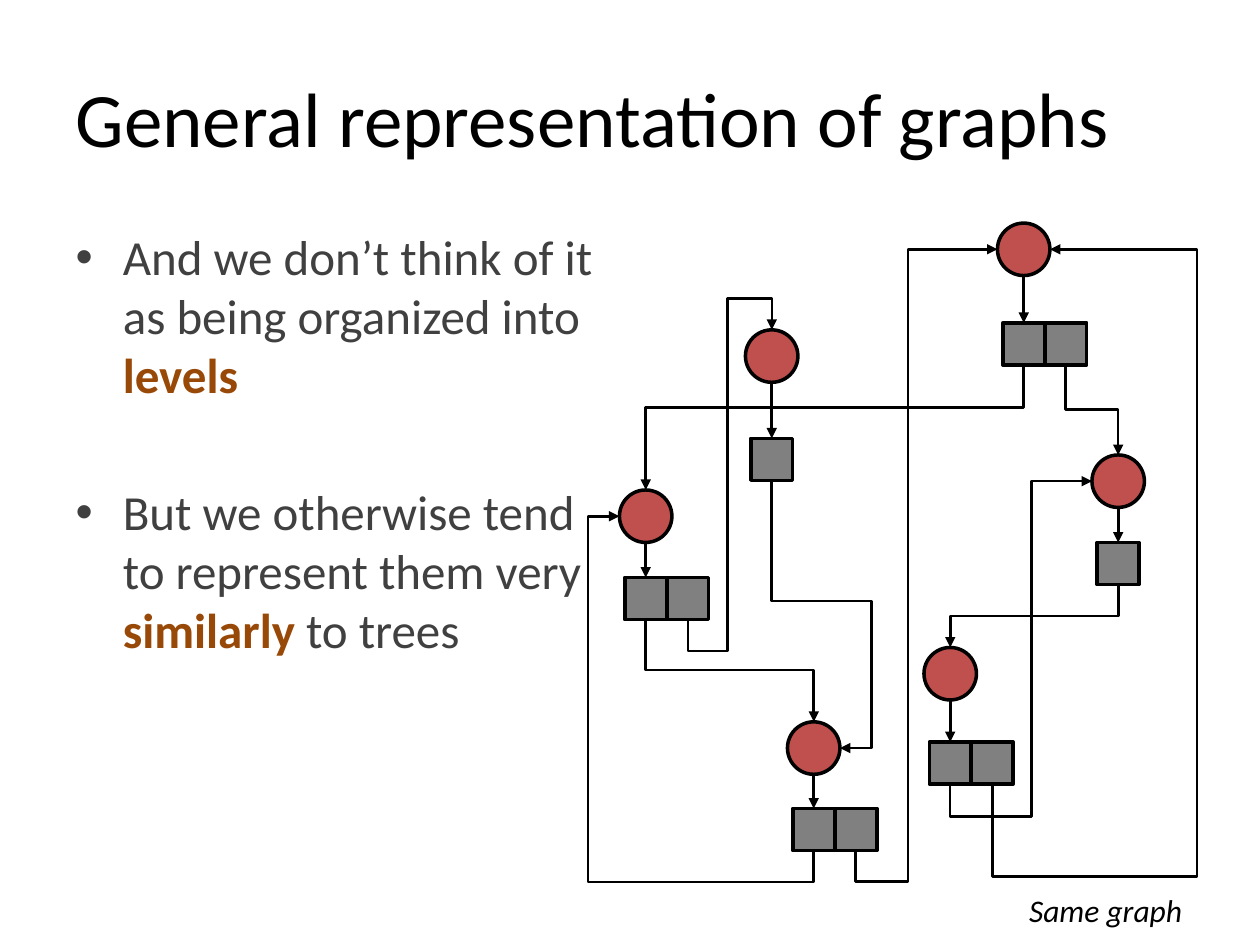
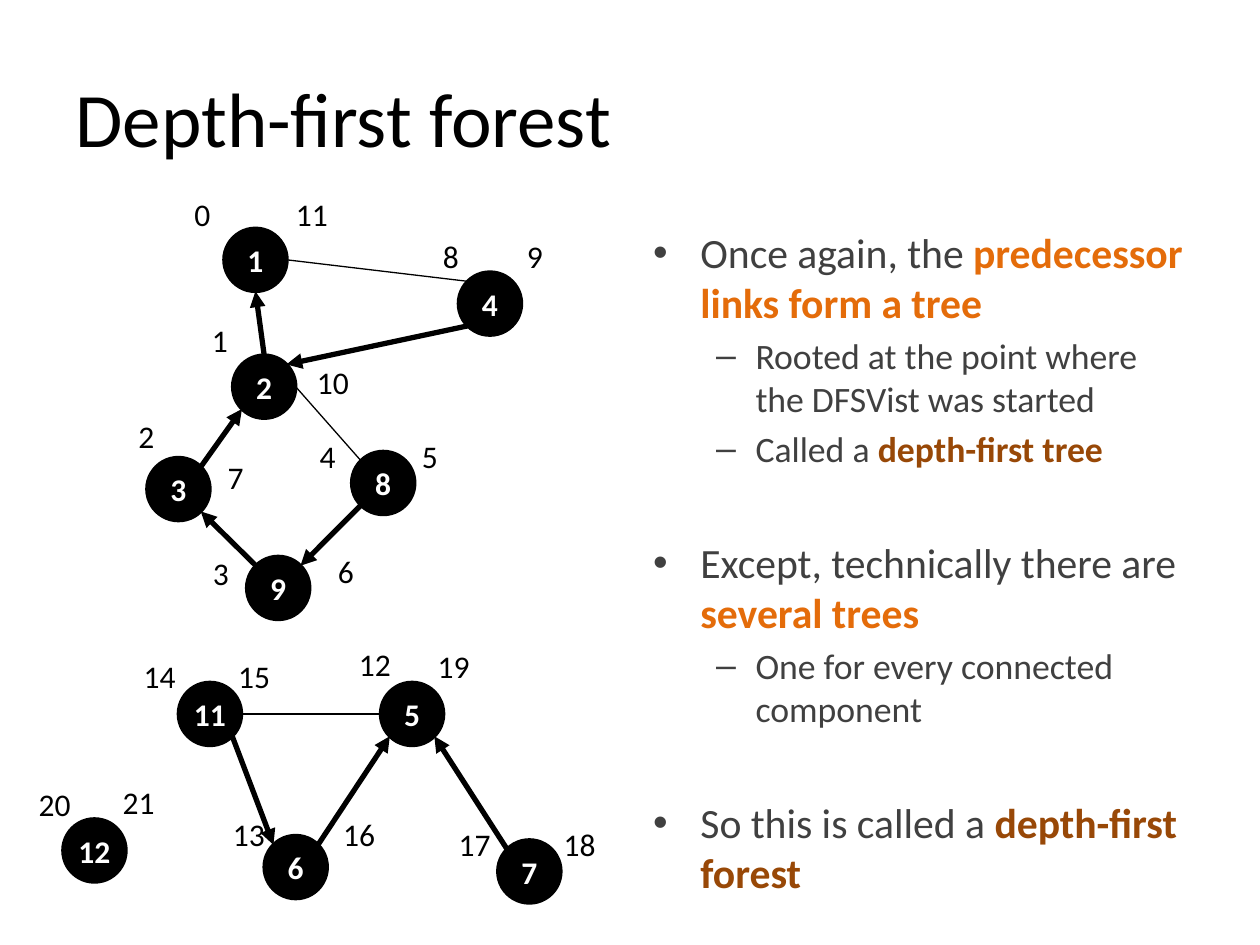
import math
from collections import namedtuple

import pptx
import pptx.util
import pptx.dml.color
import pptx.enum.shapes
import pptx.enum.text
import pptx.oxml
import pptx.oxml.ns

Pt = pptx.util.Pt
RGB = pptx.dml.color.RGBColor
SHAPE = pptx.enum.shapes.MSO_SHAPE
LINK = pptx.enum.shapes.MSO_CONNECTOR
ALIGN = pptx.enum.text.PP_ALIGN
ANCHOR = pptx.enum.text.MSO_ANCHOR
FIT = pptx.enum.text.MSO_AUTO_SIZE
qn = pptx.oxml.ns.qn

# Shared look
BLACK = RGB(0, 0, 0)
WHITE = RGB(255, 255, 255)
RED = RGB(0xC0, 0x50, 0x4D)
GRAY = RGB(0x80, 0x80, 0x80)
DARK = RGB(0x40, 0x40, 0x40)
BROWN = RGB(0x98, 0x48, 0x07)
ORANGE = RGB(0xE4, 0x6C, 0x0A)
FONT = "Calibri"

Box = namedtuple("Box", "x y w h")
TITLE = Box(36, 21.6, 648, 90)

# Pointer graph: node centre x, node top, cells top, number of cells
BALL, CELL = 30, 24
NODES = {
    "A": (249, 1.5, 58.5, 2),
    "B": (207, 244, 298, 2),
    "C": (105, 62.5, 124.5, 1),
    "D": (129, 286.5, 336, 2),
    "E": (303, 134, 184, 1),
    "F": (33, 154, 204, 2),
}
# Source node, its cell, target node, side entered, turns (y, x, y in turn)
LINKS = [
    ("A", 1, "E", "top", [108]),
    ("A", 0, "F", "top", [107]),
    ("F", 1, "C", "top", [246, 79.5, 44.5]),
    ("F", 0, "D", "top", [257]),
    ("E", 0, "B", "top", [226]),
    ("D", 0, "F", "left", [378, 0]),
    ("D", 1, "A", "left", [378, 183]),
    ("B", 1, "A", "right", [375, 348]),
    ("B", 0, "E", "left", [340.5, 253.5]),
    ("C", 0, "D", "right", [217.5, 162]),
]
SIDES = {"top": (0, 0), "left": (-BALL / 2, BALL / 2), "right": (BALL / 2, BALL / 2)}

# Forest: top left corner of each disc
DISC = 36
DISCS = {
    1: (113, 22.5), 2: (118, 95), 3: (69, 153.5), 4: (247, 47.5),
    5: (202.5, 282), 6: (136, 369.5), 7: (269.5, 372), 8: (186, 150),
    9: (126, 210), 11: (87, 282), 12: (21, 360),
}
COMPASS = ["E", "SE", "S", "SW", "W", "NW", "N", "NE"]
TREE = [
    (7, "NW", 5, "SE"), (6, "NE", 5, "SW"), (3, "NE", 2, "SW"), (4, "SW", 2, "NE"),
    (2, "N", 1, "S"), (8, "SW", 9, "NE"), (9, "NW", 3, "SE"), (11, "SE", 6, "NW"),
]
OTHERS = [(4, "NW", 1, "E", 0.75), (2, "E", 8, "NW", 0.75), (5, "W", 11, "E", 1)]
# Place of each time stamp, counted from 0
TIMES = [
    (89, 0), (99, 72), (57, 127), (99.5, 205), (160.5, 138), (219, 138),
    (171, 204), (108, 150), (231, 24), (279, 24), (159, 96), (147, 0),
    (183, 257), (111, 354), (60, 264), (114, 264), (174, 354), (240, 360),
    (300, 360), (228, 258), (0, 337), (48, 336),
]


def put(shape, box):
    shape.left, shape.top, shape.width, shape.height = map(Pt, box)


def add_run(par, text, size, color, bold=False, slant=False):
    run = par.add_run()
    run.text = text
    font = run.font
    font.name, font.size, font.bold, font.italic = FONT, Pt(size), bold, slant
    font.color.rgb = color


def add_solid(slide, kind, x, y, side, fill):
    shape = slide.shapes.add_shape(kind, *map(Pt, (x, y, side, side)))
    shape.shadow.inherit = False
    shape.fill.solid()
    shape.fill.fore_color.rgb = fill
    shape.line.color.rgb = BLACK
    shape.line.width = Pt(2)
    return shape


def add_label(slide, x, y, width, text, slant=False):
    label = slide.shapes.add_textbox(*map(Pt, (x, y, width, 29)))
    label.text_frame.word_wrap = False
    add_run(label.text_frame.paragraphs[0], text, 18, BLACK, slant=slant)


def add_line(slide, start, end, width, arrow=True, kind=LINK.STRAIGHT):
    line = slide.shapes.add_connector(kind, *map(Pt, (*start, *end)))
    line.line.color.rgb = BLACK
    line.line.width = Pt(width)
    props = line._element.spPr
    if arrow:
        tip = pptx.oxml.parse_xml('<a:tailEnd %s type="triangle"/>' % pptx.oxml.ns.nsdecls("a"))
        props.find(qn("a:ln")).append(tip)
    props.append(pptx.oxml.parse_xml("<a:effectLst %s/>" % pptx.oxml.ns.nsdecls("a")))
    return line


def add_bent(slide, start, end, turns):
    """Elbow arrow that leaves downwards: a level elbow turned by 90 degrees."""
    (x0, y0), (x1, y1) = start, end
    dx, dy = x1 - x0, y1 - y0
    mx, my = (x0 + x1) / 2, (y0 + y1) / 2
    line = add_line(slide, (mx - dy / 2, my + dx / 2), (mx + dy / 2, my - dx / 2),
                    1.5, kind=LINK.ELBOW)
    props = line._element.spPr
    props.find(qn("a:xfrm")).set("rot", "5400000")
    geom = props.find(qn("a:prstGeom"))
    geom.set("prst", "bentConnector%d" % (len(turns) + 2))
    guides = geom.get_or_add_avLst()
    for i, turn in enumerate(turns):
        part = (turn - x0) / dx if i % 2 else (turn - y0) / dy
        guide = guides.makeelement(qn("a:gd"), {
            "name": "adj%d" % (i + 1), "fmla": "val %d" % round(part * 100000)})
        guides.append(guide)


# Title and list
def add_page(deck, title, box, items):
    """Each item is level, size, space before, runs."""
    slide = deck.slides.add_slide(deck.slide_layouts[1])
    head, body = slide.placeholders
    put(head, TITLE)
    head.text_frame.vertical_anchor = ANCHOR.MIDDLE
    par = head.text_frame.paragraphs[0]
    par.alignment = ALIGN.LEFT
    add_run(par, title, 44, BLACK)

    put(body, box)
    frame = body.text_frame
    frame.word_wrap = True
    frame.auto_size = FIT.NONE
    for i, (level, size, gap, runs) in enumerate(items):
        par = frame.add_paragraph() if i else frame.paragraphs[0]
        par.level = level
        par.space_before = Pt(gap)
        for text, color in runs:
            add_run(par, text, size, color, bold=color != DARK)
    return slide


# Nodes with their pointer cells
def draw_graph(slide, box):
    for mid, top, row, count in NODES.values():
        x, y = box.x + mid, box.y + top
        add_solid(slide, SHAPE.OVAL, x - BALL / 2, y, BALL, RED)
        cells = [add_solid(slide, SHAPE.RECTANGLE, x + CELL * (i - 0.5), box.y + row, CELL, GRAY)
                 for i in range(count)]
        stem = add_line(slide, (x, y + BALL), (x, box.y + row), 1.5)
        stem.end_connect(cells[0], 0)
    for source, cell, target, side, turns in LINKS:
        mid, _, row, _ = NODES[source]
        goal, top, _, _ = NODES[target]
        dx, dy = SIDES[side]
        start = box.x + mid + CELL * cell, box.y + row + CELL
        end = box.x + goal + dx, box.y + top + dy
        bends = [turn + (box.x if i % 2 else box.y) for i, turn in enumerate(turns)]
        add_bent(slide, start, end, bends)
    add_label(slide, box.x + 245, box.y + 379.5, 103, "Same graph", slant=True)


# Numbered discs, links and time stamps
def draw_forest(slide, box):
    def rim(disc, point):
        x, y = DISCS[disc]
        angle = math.radians(45 * COMPASS.index(point))
        half = DISC / 2
        return (box.x + x + half + half * math.cos(angle),
                box.y + y + half + half * math.sin(angle))

    for number, (x, y) in DISCS.items():
        disc = add_solid(slide, SHAPE.OVAL, box.x + x, box.y + y, DISC, BLACK)
        frame = disc.text_frame
        frame.word_wrap = False
        frame.vertical_anchor = ANCHOR.MIDDLE
        frame.paragraphs[0].alignment = ALIGN.CENTER
        add_run(frame.paragraphs[0], str(number), 18, WHITE, bold=True)
    for child, out, parent, into in TREE:
        add_line(slide, rim(child, out), rim(parent, into), 3)
    for one, out, two, into, width in OTHERS:
        add_line(slide, rim(one, out), rim(two, into), width, arrow=False)
    for time, (x, y) in enumerate(TIMES):
        add_label(slide, box.x + x, box.y + y, 24 if time < 10 else 33, str(time))


def main():
    deck = pptx.Presentation()
    deck.slide_width, deck.slide_height = Pt(720), Pt(540)

    slide = add_page(deck, "General representation of graphs", Box(36, 126, 318, 396), [
        (0, 28, 0, [("And we don’t think of it as being organized into ", DARK),
                    ("levels", BROWN)]),
        (0, 28, 44.8, [("But we otherwise tend to represent them very ", DARK),
                       ("similarly ", BROWN), ("to trees", DARK)]),
    ])
    draw_graph(slide, Box(336, 126, 348, 408))

    big, small = 23.8, 20.4
    slide = add_page(deck, "Depth-first forest", Box(366, 126, 318, 356), [
        (0, big, 0, [("Once again, the ", DARK), ("predecessor links form a tree", ORANGE)]),
        (1, small, 4, [("Rooted at the point where the DFSVist was started", DARK)]),
        (1, small, 4, [("Called a ", DARK), ("depth-first tree", BROWN)]),
        (0, big, 38.5, [("Except, technically there are ", DARK), ("several trees", ORANGE)]),
        (1, small, 4, [("One for every connected component", DARK)]),
        (0, big, 38.5, [("So this is called a ", DARK), ("depth-first forest", BROWN)]),
    ])
    draw_forest(slide, Box(15, 108, 335, 410))

    deck.save("out.pptx")


if __name__ == "__main__":
    main()
